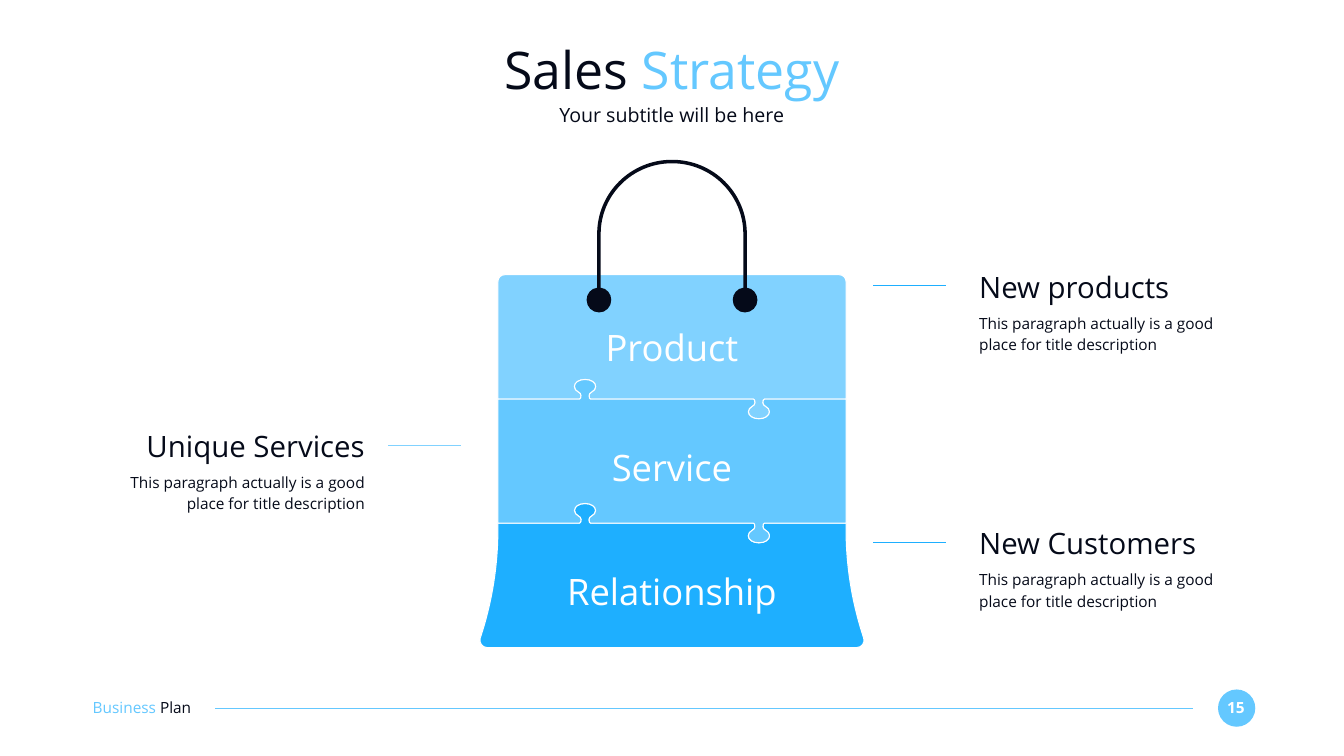
from lxml.etree import SubElement
from pptx import Presentation
from pptx.dml.color import RGBColor
from pptx.enum.shapes import MSO_CONNECTOR as Connector, MSO_SHAPE as Preset
from pptx.enum.text import MSO_ANCHOR as Anchor, MSO_AUTO_SIZE as AutoSize, PP_ALIGN as Align
from pptx.oxml.ns import qn
from pptx.util import Inches, Pt

FONT = "Open Sans"
INK, WHITE = "050A19", "FFFFFF"
LIGHT, SKY, DEEP = "81D2FF", "64C8FF", "1EAFFF"
CENTER = 13.335  # the bag is symmetric about this x
LEFT, RIGHT = 9.88, 16.79
SEAMS = 7.92, 10.38
DESCRIPTION = "This paragraph actually is a good place for title description"


def color(value):
    return RGBColor.from_string(value)


def write(shape, runs, size, align=Align.LEFT, anchor=Anchor.MIDDLE, bold=False, spacing=None):
    """Fill a shape with one paragraph made of (text, colour) runs."""
    frame = shape.text_frame
    frame.word_wrap = True
    frame.auto_size = AutoSize.NONE
    frame.vertical_anchor = anchor
    frame.margin_left = frame.margin_right = frame.margin_top = frame.margin_bottom = 0
    paragraph = frame.paragraphs[0]
    paragraph.alignment = align
    if spacing:
        paragraph.line_spacing = spacing
    for text, run_color in runs:
        run = paragraph.add_run()
        run.text = text
        font = run.font
        font.name, font.size, font.bold = FONT, Pt(size), bold
        font.color.rgb = color(run_color)


def add_text(slide, box, text, size, text_color=INK, **formats):
    runs = [(text, text_color)] if isinstance(text, str) else text
    write(slide.shapes.add_textbox(*map(Inches, box)), runs, size, **formats)


def add_line(slide, start_x, end_x, y, line_color):
    line = slide.shapes.add_connector(
        Connector.STRAIGHT, Inches(start_x), Inches(y), Inches(end_x), Inches(y))
    line.line.color.rgb = color(line_color)
    line.line.width = Pt(1.5)
    SubElement(line._element.spPr, qn("a:effectLst"))


def paint(shape, fill, outline=None):
    shape.shadow.inherit = False
    shape.fill.solid()
    shape.fill.fore_color.rgb = color(fill)
    if outline:
        shape.line.color.rgb = color(outline)
        shape.line.width = Pt(1.5)
    else:
        shape.line.fill.background()


def add_outline(slide, points, fill, outline=None):
    """Closed freeform; after the first point, every three points are one cubic curve."""
    corners = [(Inches(x), Inches(y)) for x, y in points]
    builder = slide.shapes.build_freeform(*corners[0])
    builder.add_line_segments(corners[1:], close=True)
    shape = builder.convert_to_shape()
    geometry = shape._element.find(".//" + qn("a:path"))
    segments = geometry.findall(qn("a:lnTo"))
    for index in range(0, len(segments), 3):
        curve = SubElement(geometry, qn("a:cubicBezTo"))
        for segment in segments[index:index + 3]:
            curve.append(segment[0])
            geometry.remove(segment)
    geometry.append(geometry.find(qn("a:close")))
    paint(shape, fill, outline)


def join(*parts):
    """Chain curve parts, with a straight step across each gap."""
    points = list(parts[0])
    for part in parts[1:]:
        if part[0] != points[-1]:
            points += [points[-1], part[0], part[0]]
        points += part[1:]
    return points


def mirror(points, axis=CENTER):
    return [(2 * axis - x, y) for x, y in reversed(points)]


def knob(x, y, direction):
    """Puzzle knob from left to right; direction is -1 for up and 1 for down."""
    half = [
        (-0.11, 0),
        (-0.09, 0), (-0.08, 0.03), (-0.08, 0.07),
        (-0.08, 0.10), (-0.10, 0.13), (-0.13, 0.14),
        (-0.18, 0.16), (-0.21, 0.21), (-0.21, 0.25),
        (-0.21, 0.33), (-0.12, 0.39), (0, 0.39)]
    return [(x + dx, y + direction * dy) for dx, dy in join(half, mirror(half, 0))]


def seam(y):
    return join([(LEFT, y)], knob(11.61, y, -1), knob(15.06, y, 1), [(RIGHT, y)])


def add_bag(slide):
    upper, lower = map(seam, SEAMS)

    # Three puzzle pieces
    flare = [
        (RIGHT, 10.51),
        (RIGHT, 11.24), (16.91, 11.97), (17.14, 12.66),
        (17.17, 12.75), (17.1, 12.85), (17, 12.85)]
    add_outline(slide, join(lower, flare, mirror(flare)), DEEP, WHITE)
    corner = [(16.65, 5.45), (16.73, 5.45), (RIGHT, 5.51), (RIGHT, 5.59)]
    add_outline(slide, join(mirror(corner), corner, upper[::-1]), LIGHT, WHITE)
    add_outline(slide, join(upper, lower[::-1]), SKY, WHITE)

    # Handle with a round end on each side
    half = join(
        [(CENTER, 3.17), (14.16, 3.17), (14.82, 3.83), (14.82, 4.64)],
        [(14.82, 5.71),
         (14.94, 5.72), (15.03, 5.83), (15.03, 5.95),
         (15.03, 6.09), (14.92, 6.2), (14.78, 6.2),
         (14.65, 6.2), (14.54, 6.09), (14.54, 5.95),
         (14.54, 5.83), (14.63, 5.72), (14.75, 5.71)],
        [(14.75, 4.64), (14.75, 3.87), (14.12, 3.24), (CENTER, 3.24)])
    add_outline(slide, join(half, mirror(half)), INK)

    for label, top in (("Product", 6.45), ("Service", 8.83), ("Relationship", 11.28)):
        add_text(slide, (10.7, top, 5.27, 0.88), label, 52, WHITE, align=Align.CENTER)


def add_callout(slide, heading, left, top, line_start, line_color, align=Align.LEFT):
    add_line(slide, line_start, line_start - 1.44, top + 0.34, line_color)
    add_text(slide, (left, top, 5.41, 0.71), heading, 42, align=align)
    add_text(slide, (left, top + 0.85, 5.41, 0.92), DESCRIPTION, 22,
             align=align, anchor=Anchor.TOP, spacing=1.14)


def add_footer(slide):
    badge = slide.shapes.add_shape(Preset.OVAL, *map(Inches, (24.17, 13.68, 0.74, 0.74)))
    paint(badge, SKY)
    add_text(slide, (24.23, 13.85, 0.59, 0.37), "15", 22, WHITE, align=Align.CENTER, bold=True)
    add_line(slide, 23.67, 4.27, 14.05, SKY)
    add_text(slide, (1.84, 13.84, 2.59, 0.37), [("Business ", SKY), ("Plan", INK)], 22)


def add_heading(slide):
    title = slide.shapes.title
    title.left, title.top, title.width, title.height = map(Inches, (1.83, 0.73, 23, 1.27))
    write(title, [("Sales ", INK), ("Strategy", SKY)], 74, align=Align.CENTER)
    add_text(slide, (1.83, 2.03, 23, 0.49), "Your subtitle will be here", 28, align=Align.CENTER)


def main():
    presentation = Presentation()
    presentation.slide_width, presentation.slide_height = Inches(26.67), Inches(15)
    slide = presentation.slides.add_slide(presentation.slide_layouts[5])

    add_footer(slide)
    add_heading(slide)
    add_bag(slide)
    add_callout(slide, "Unique Services", 1.83, 8.49, 9.14, LIGHT, Align.RIGHT)
    add_callout(slide, "New Customers", 19.43, 10.42, 18.77, DEEP)
    add_callout(slide, "New products", 19.43, 5.33, 18.77, DEEP)

    presentation.save("out.pptx")


if __name__ == "__main__":
    main()
